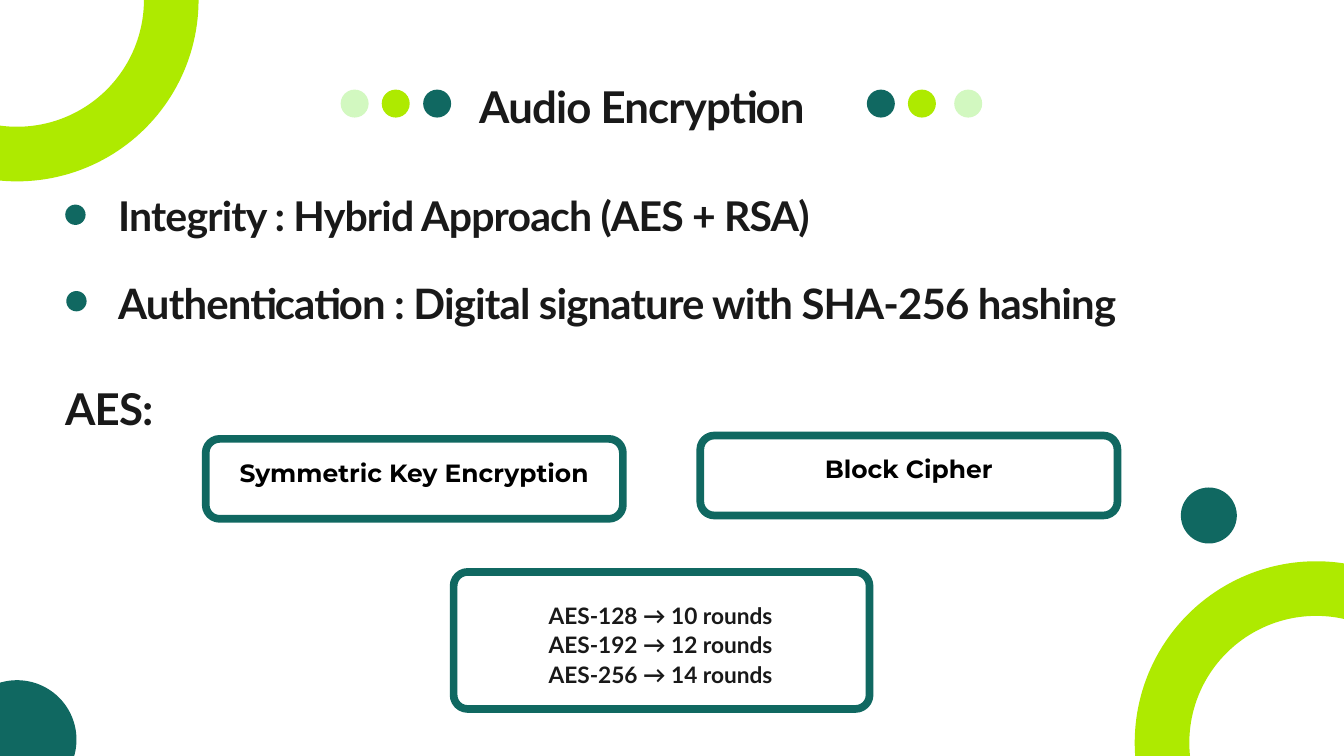
from typing import NamedTuple

from pptx import Presentation
from pptx.dml.color import RGBColor
from pptx.enum.shapes import MSO_SHAPE as Preset
from pptx.enum.text import MSO_ANCHOR as Anchor, PP_ALIGN as Align
from pptx.util import Pt

TEAL, LIME, MINT = "106861", "AEEA00", "D2F8C0"
INK, BLACK, WHITE = "191919", "000000", "FFFFFF"
CORNER_RADIUS = 15
LABEL_INSET = 4.3
LABEL_RAISE = 19.4


class Frame(NamedTuple):
    left: float
    top: float
    width: float
    height: float


class Circle(NamedTuple):
    left: float
    top: float
    size: float
    color: str


class TextStyle(NamedTuple):
    size: float
    line_spacing: float
    font: str = "Lato"
    color: str = INK
    tracking: float = 0
    align: Align = Align.LEFT


class Heading(NamedTuple):
    text: str
    frame: Frame
    style: TextStyle


class Card(NamedTuple):
    frame: Frame
    label: str = ""


TITLE_STYLE = TextStyle(46.9, 65.7, tracking=-0.9)
LABEL_STYLE = TextStyle(26.7, 37.4, "Montserrat", BLACK, align=Align.CENTER)
ROUNDS_STYLE = TextStyle(24.3, 31.6, align=Align.CENTER)

RINGS = [
    Circle(1245, 630.6, 330.5, LIME),
    Circle(-147, -165.4, 330.5, LIME),
]
DISCS = [
    Circle(1265.2, 522.3, 60, TEAL),
    Circle(-45.4, 728.8, 127.4, TEAL),
    Circle(69.9, 219.2, 21.8, TEAL),
    Circle(71, 311.8, 21.8, TEAL),
]
TITLE_DOTS = [
    Circle(left, 96, 30, color)
    for left, color in zip(
        (365, 409, 453.4, 928.8, 972.8, 1022.4),
        (MINT, LIME, TEAL, TEAL, LIME, MINT),
    )
]
CARDS = [
    Card(Frame(220.4, 470.2, 447, 85.7), "Symmetric Key Encryption"),
    Card(Frame(750.3, 466.6, 447, 85.7), "Block Cipher"),
    Card(Frame(486, 612.8, 445.7, 146.8)),
]
TITLE = Heading("Audio Encryption", Frame(513.4, 75.6, 494.6, 126), TITLE_STYLE)
HEADINGS = [
    Heading(
        "Integrity : Hybrid Approach (AES + RSA)",
        Frame(126.7, 195.1, 925.9, 56.2),
        TextStyle(43.9, 61.5, tracking=-0.9),
    ),
    Heading(
        "Authentication : Digital signature with SHA-256 hashing",
        Frame(126.7, 288, 1271.5, 58.3),
        TextStyle(44.9, 62.9, tracking=-0.9),
    ),
    Heading("AES:", Frame(69.8, 399.6, 144.7, 128), TITLE_STYLE),
    Heading(
        "\n".join(
            f"AES-{bits} → {rounds} rounds"
            for bits, rounds in ((128, 10), (192, 12), (256, 14))
        ),
        Frame(577.4, 642.2, 260.6, 93.6),
        ROUNDS_STYLE,
    ),
]


def rgb(color: str) -> RGBColor:
    return RGBColor.from_string(color)


def points(frame: Frame) -> list[Pt]:
    return [Pt(length) for length in frame]


def write_text(shape, text: str, style: TextStyle, inset: float = 0,
               bottom: float = 0, anchor: Anchor = Anchor.TOP) -> None:
    text_frame = shape.text_frame
    text_frame.text = text
    text_frame.word_wrap = True
    text_frame.vertical_anchor = anchor
    text_frame.margin_left = text_frame.margin_right = Pt(inset)
    text_frame.margin_top, text_frame.margin_bottom = Pt(inset), Pt(bottom)
    for paragraph in text_frame.paragraphs:
        paragraph.alignment = style.align
        paragraph.line_spacing = Pt(style.line_spacing)
        paragraph.space_before = Pt(0)
        for run in paragraph.runs:
            run.font.name = style.font
            run.font.size = Pt(style.size)
            run.font.bold = True
            run.font.color.rgb = rgb(style.color)
            if style.tracking:
                run.font._element.set("spc", str(round(style.tracking * 100)))


def draw_shape(slide, preset: Preset, frame: Frame, fill: str | None = None,
               line: str | None = None, line_width: float = 0):
    shape = slide.shapes.add_shape(preset, *points(frame))
    shape.shadow.inherit = False
    if fill:
        shape.fill.solid()
        shape.fill.fore_color.rgb = rgb(fill)
    else:
        shape.fill.background()
    if line:
        shape.line.color.rgb = rgb(line)
        shape.line.width = Pt(line_width)
    else:
        shape.line.fill.background()
    return shape


def draw_ring(slide, ring: Circle) -> None:
    frame = Frame(ring.left, ring.top, ring.size, ring.size)
    draw_shape(slide, Preset.OVAL, frame, line=ring.color, line_width=58.5)


def draw_disc(slide, disc: Circle) -> None:
    frame = Frame(disc.left, disc.top, disc.size, disc.size)
    draw_shape(slide, Preset.OVAL, frame, fill=disc.color)


def draw_card(slide, card: Card) -> None:
    shape = draw_shape(slide, Preset.ROUNDED_RECTANGLE, card.frame, WHITE, TEAL, 8.25)
    shape.adjustments[0] = CORNER_RADIUS / card.frame.height
    if card.label:
        write_text(shape, card.label, LABEL_STYLE, LABEL_INSET,
                   LABEL_INSET + LABEL_RAISE, Anchor.MIDDLE)


def draw_title(slide, title: Heading) -> None:
    shape = slide.shapes.title
    shape.left, shape.top, shape.width, shape.height = points(title.frame)
    write_text(shape, title.text, title.style)


def draw_heading(slide, heading: Heading) -> None:
    shape = slide.shapes.add_textbox(*points(heading.frame))
    write_text(shape, heading.text, heading.style)


def main() -> None:
    presentation = Presentation()
    presentation.slide_width, presentation.slide_height = Pt(1440), Pt(810)
    slide = presentation.slides.add_slide(presentation.slide_layouts[5])
    draw_title(slide, TITLE)
    for ring in RINGS:
        draw_ring(slide, ring)
    for disc in DISCS + TITLE_DOTS:
        draw_disc(slide, disc)
    for card in CARDS:
        draw_card(slide, card)
    for heading in HEADINGS:
        draw_heading(slide, heading)
    presentation.save("out.pptx")


if __name__ == "__main__":
    main()
